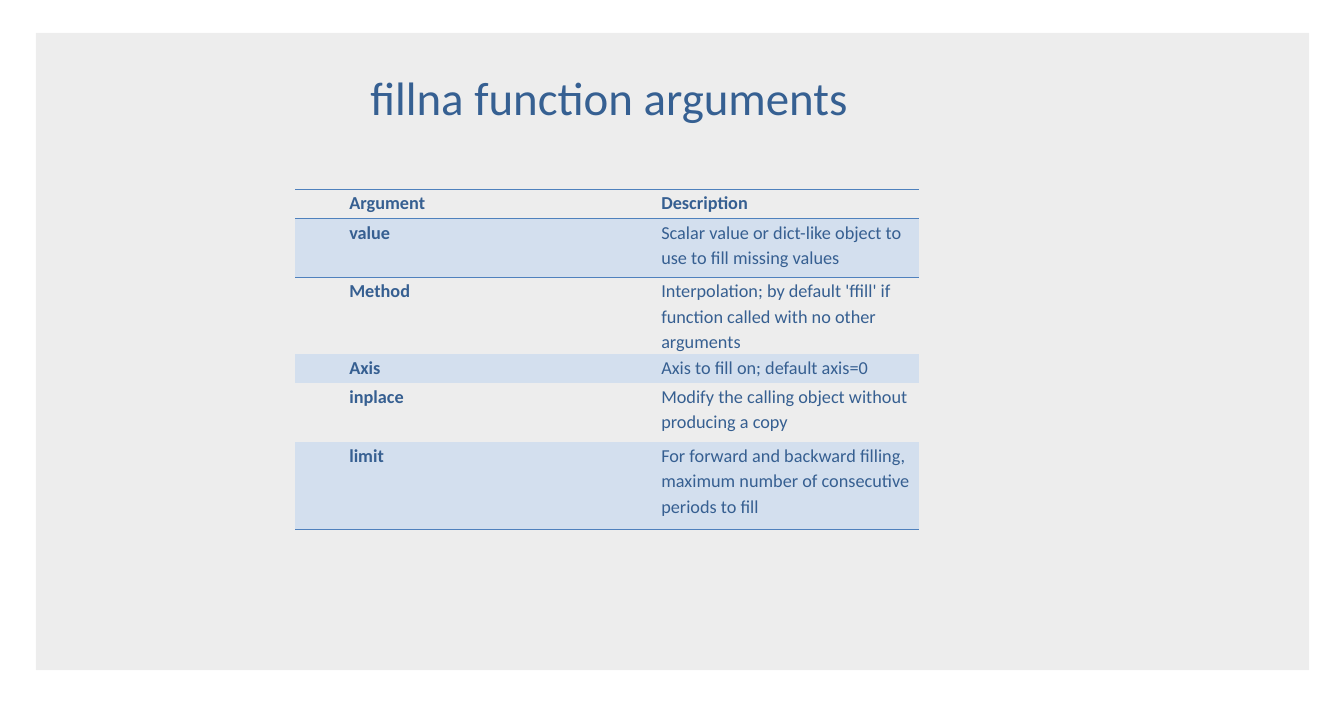
from lxml import etree
from pptx import Presentation
from pptx import util as u
from pptx.dml.color import RGBColor
from pptx.enum import shapes, text
from pptx.oxml import ns

HUES = {"panel": "000000", "title": "366092", "ink": "365F91",
        "rule": "4F81BD", "band": "D3DFEE"}
FONT = "Calibri"
PLAIN = "{2D5ABB26-0587-4C30-8999-92F81FD0307C}"  # table style without lines
INDENT = u.Cm(1.27)

# Argument, description, row height in cm
ROWS = [
    ("Argument", "Description", 0.79),
    ("value", "Scalar value or dict-like object to use to fill missing values", 1.59),
    ("Method", "Interpolation; by default 'ffill' if function called with no other arguments", 1.59),
    ("Axis", "Axis to fill on; default axis=0", 0.79),
    ("inplace", "Modify the calling object without producing a copy", 1.59),
    ("limit", "For forward and backward filling, maximum number of consecutive periods to fill", 2.39),
]


def hue(name):
    return RGBColor.from_string(HUES[name])


def style(para, size, color, bold=False):
    for run in para.runs:
        font = run.font
        font.name, font.size, font.bold = FONT, u.Pt(size), bold
        font.color.rgb = hue(color)


def rule(cell, side):
    """Draw a line on one side of a cell: lnT or lnB."""
    props = cell._tc.get_or_add_tcPr()
    line = etree.SubElement(props, ns.qn("a:" + side), w=str(u.Pt(1)))
    fill = etree.SubElement(line, ns.qn("a:solidFill"))
    etree.SubElement(fill, ns.qn("a:srgbClr"), val=HUES["rule"])


def panel(slide, box):
    rect = slide.shapes.add_shape(shapes.MSO_SHAPE.RECTANGLE, *box)
    rect.shadow.inherit = False
    rect.line.fill.background()
    rect.fill.solid()
    rect.fill.fore_color.rgb = hue("panel")
    color = rect.fill._xPr.find(".//" + ns.qn("a:srgbClr"))
    etree.SubElement(color, ns.qn("a:alpha"), val="7000")


def title(slide, box, words):
    frame = slide.shapes.add_textbox(*box).text_frame
    frame.word_wrap = True
    frame.text = words
    para = frame.paragraphs[0]
    para.alignment = text.PP_ALIGN.CENTER
    style(para, 36, "title")


def fill_cell(cell, words, row, bold):
    cell.margin_left = cell.margin_right = u.Cm(0.19)
    cell.margin_top = cell.margin_bottom = 0
    cell.text = words
    para = cell.text_frame.paragraphs[0]
    para.line_spacing = 1.15
    props = para._p.get_or_add_pPr()
    props.set("marL", str(INDENT))
    props.set("indent", "0")
    style(para, 14, "ink", bold)
    # Rules above and below the header, and under the last row
    if row < 2:
        rule(cell, "lnT")
    if row in (0, len(ROWS) - 1):
        rule(cell, "lnB")
    if row % 2:
        cell.fill.solid()
        cell.fill.fore_color.rgb = hue("band")
    else:
        cell.fill.background()


def grid(slide, box):
    frame = slide.shapes.add_table(len(ROWS), 2, *box)
    table = frame.table
    table.first_row = table.horz_banding = False
    table._tbl.tblPr.find(ns.qn("a:tableStyleId")).text = PLAIN
    for col in table.columns:
        col.width = box[2] // 2
    for row, (name, note, high) in enumerate(ROWS):
        table.rows[row].height = u.Cm(high)
        fill_cell(table.cell(row, 0), name, row, True)
        fill_cell(table.cell(row, 1), note, row, row == 0)


def cm(*sizes):
    return [u.Cm(size) for size in sizes]


def main():
    deck = Presentation()
    deck.slide_width, deck.slide_height = cm(36.4, 19.05)
    slide = deck.slides.add_slide(deck.slide_layouts[6])
    panel(slide, cm(0.97, 0.89, 34.49, 17.27))
    grid(slide, cm(8, 5.13, 16.9, 8.74))
    title(slide, cm(5.79, 1.73, 21.41, 1.8), "fillna function arguments")
    deck.save("out.pptx")


if __name__ == "__main__":
    main()
